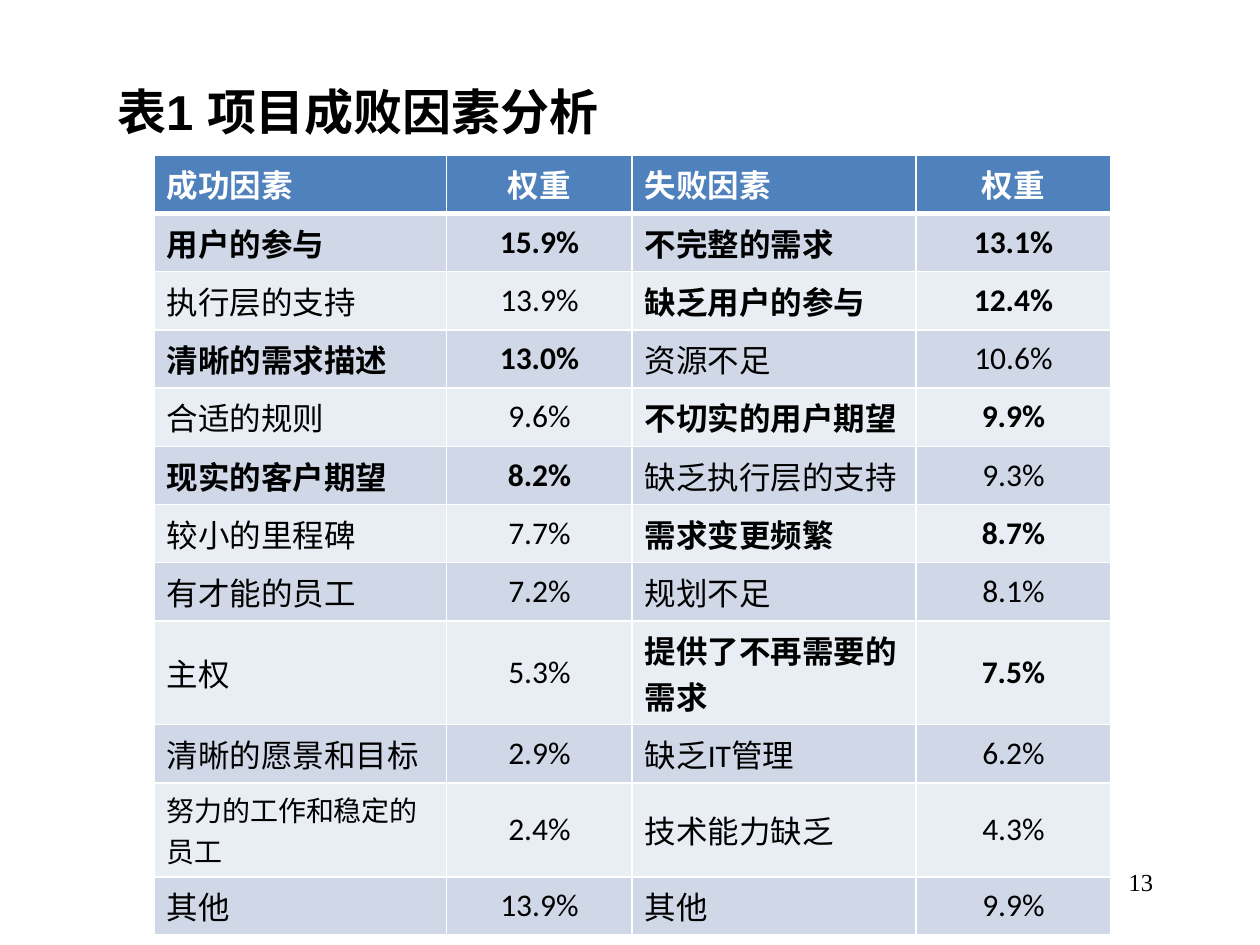
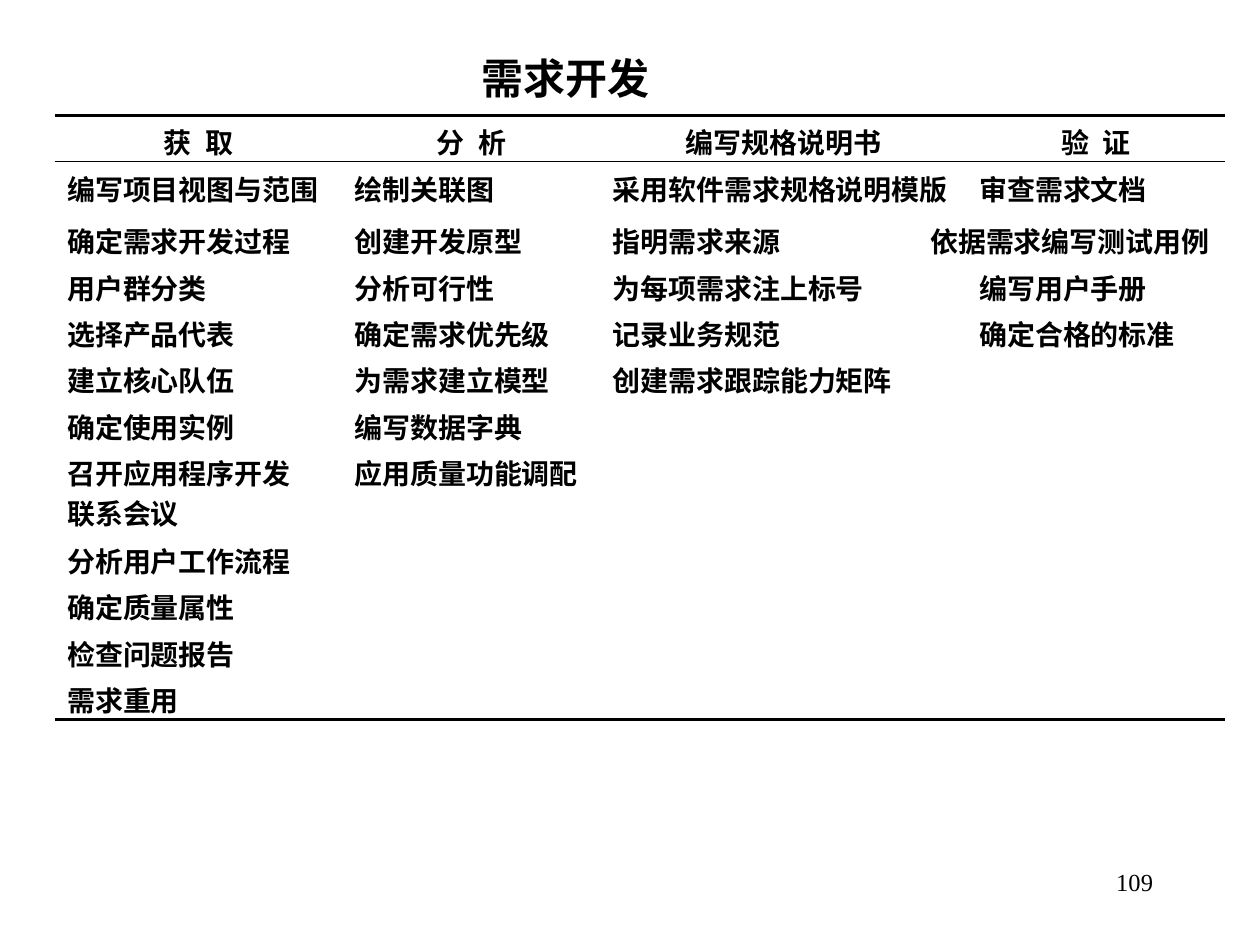
from lxml.etree import SubElement
from pptx import Presentation
from pptx.dml.color import RGBColor
from pptx.enum.text import MSO_ANCHOR as Anchor, PP_ALIGN as Align
from pptx.oxml import parse_xml
from pptx.oxml.ns import nsdecls, qn
from pptx.util import Pt

# Shared look
BLACK, WHITE = "000000", "FFFFFF"
HEADER_BLUE, BAND_DARK, BAND_LIGHT = "4F81BD", "D0D8E8", "E9EDF4"
SERIF, SANS, TITLE_SANS = "Times New Roman", "Calibri", "Arial"

# Factor, weight, and whether the factor is about requirements (bold)
SUCCESS_FACTORS = [
    ("用户的参与", "15.9%", True),
    ("执行层的支持", "13.9%", False),
    ("清晰的需求描述", "13.0%", True),
    ("合适的规则", "9.6%", False),
    ("现实的客户期望", "8.2%", True),
    ("较小的里程碑", "7.7%", False),
    ("有才能的员工", "7.2%", False),
    ("主权", "5.3%", False),
    ("清晰的愿景和目标", "2.9%", False),
    ("努力的工作和稳定的员工", "2.4%", False),
    ("其他", "13.9%", False),
]
FAILURE_FACTORS = [
    ("不完整的需求", "13.1%", True),
    ("缺乏用户的参与", "12.4%", True),
    ("资源不足", "10.6%", False),
    ("不切实的用户期望", "9.9%", True),
    ("缺乏执行层的支持", "9.3%", False),
    ("需求变更频繁", "8.7%", True),
    ("规划不足", "8.1%", False),
    ("提供了不再需要的需求", "7.5%", True),
    ("缺乏IT管理", "6.2%", False),
    ("技术能力缺乏", "4.3%", False),
    ("其他", "9.9%", False),
]
LONG_FACTOR = "努力的工作和稳定的员工"

# Activities of each phase of requirements development
PHASES = {
    "获\u2002取": ["编写项目视图与范围", "确定需求开发过程", "用户群分类", "选择产品代表",
                 "建立核心队伍", "确定使用实例", "召开应用程序开发\n联系会议",
                 "分析用户工作流程", "确定质量属性", "检查问题报告", "需求重用"],
    "分\u2002析": ["绘制关联图", "创建开发原型", "分析可行性", "确定需求优先级",
                 "为需求建立模型", "编写数据字典", "应用质量功能调配"],
    "编写规格说明书": ["采用软件需求规格说明模版", "指明需求来源", "为每项需求注上标号",
                "记录业务规范", "创建需求跟踪能力矩阵"],
    "验\u2002证": ["审查需求文档", "依据需求编写测试用例", "编写用户手册", "确定合格的标准"],
}
TEST_CASE_ROW = 2  # its long last entry also takes the narrow column


def rgb(hex_colour):
    return RGBColor.from_string(hex_colour)


def write(frame, text, size, font, colour=BLACK, bold=False, align=Align.LEFT):
    frame.text = text
    for paragraph in frame.paragraphs:
        paragraph.alignment = align
        for run in paragraph.runs:
            run.font.size, run.font.name, run.font.bold = Pt(size), font, bold
            run.font.color.rgb = rgb(colour)


def add_text(slide, box, text, size, font, anchor=Anchor.TOP, **style):
    frame = slide.shapes.add_textbox(*map(Pt, box)).text_frame
    frame.word_wrap = True
    frame.vertical_anchor = anchor
    write(frame, text, size, font, **style)
    return frame


def add_page_number(slide, number):
    add_text(slide, (516, 492, 150, 36), number, 14, SERIF, align=Align.RIGHT)


def add_grid(slide, left, top, widths, heights):
    table = slide.shapes.add_table(len(heights), len(widths), Pt(left), Pt(top),
                                   Pt(sum(widths)), Pt(sum(heights))).table
    table.first_row = table.horz_banding = False
    for column, width in zip(table.columns, widths):
        column.width = Pt(width)
    for row, height in zip(table.rows, heights):
        row.height = Pt(height)
    return table


def set_borders(cell, colour, **widths):
    """Draw the sides given as L, R, T, B in points; clear the others."""
    properties = cell._tc.get_or_add_tcPr()
    for place, side in enumerate("LRTB"):
        line = parse_xml(f"<a:ln{side} {nsdecls('a')}/>")
        if widths.get(side):
            line.set("w", str(Pt(widths[side])))
            fill = SubElement(line, qn("a:solidFill"))
            SubElement(fill, qn("a:srgbClr")).set("val", colour)
        else:
            SubElement(line, qn("a:noFill"))
        properties.insert(place, line)


def build_factors(slide):
    title = add_text(slide, (54, 43, 641, 45), "表1 项目成败因素分析", 28,
                     TITLE_SANS, bold=True)
    title.margin_left = Pt(13)

    # Header row and paired factor rows, as (text, bold)
    rows = [[(text, True) for text in ("成功因素", "权重", "失败因素", "权重")]]
    for pair in zip(SUCCESS_FACTORS, FAILURE_FACTORS):
        rows.append([(text, bold) for factor, weight, bold in pair
                     for text in (factor, weight)])

    # Two rows hold factors that take two lines
    heights = [33.3] * 8 + [59.3, 33.3, 53.7, 33.3]
    table = add_grid(slide, 88, 88.6, [167.3, 106, 162.3, 111.2], heights)
    for r, row in enumerate(rows):
        band = HEADER_BLUE if r == 0 else BAND_DARK if r % 2 else BAND_LIGHT
        for c, (text, bold) in enumerate(row):
            cell = table.cell(r, c)
            cell.vertical_anchor = Anchor.MIDDLE
            cell.fill.solid()
            cell.fill.fore_color.rgb = rgb(band)
            write(cell.text_frame, text, 16 if text == LONG_FACTOR else 18, SANS,
                  colour=BLACK if r else WHITE, bold=bold,
                  align=Align.CENTER if c % 2 else Align.LEFT)
            set_borders(cell, WHITE, L=1, R=1, T=3 if r == 1 else 1,
                        B=1 if r else 3)
    add_page_number(slide, "13")


def build_phases(slide):
    add_text(slide, (229.6, 26.3, 187, 36), "需求开发", 24, SERIF, Anchor.MIDDLE,
             bold=True, align=Align.CENTER)

    heights = [26.5, 30.2] + [26.5] * 5 + [50.2] + [26.5] * 4
    table = add_grid(slide, 31.2, 65.8, [164.2, 147.6, 181.4, 28.1, 147.6], heights)
    last = len(heights) - 1

    # Plain cells with rules above, below the header and at the end
    for r in range(len(heights)):
        for c in range(len(table.columns)):
            cell = table.cell(r, c)
            cell.margin_top, cell.margin_bottom = Pt(3.6), 0
            cell.fill.background()
            set_borders(cell, BLACK, T={0: 2, 1: 0.75}.get(r),
                        B={0: 0.75, last: 2}.get(r))
        start = 3 if r == TEST_CASE_ROW else 2
        table.cell(r, start).merge(table.cell(r, start + 1))

    # Phase headings and their activities
    for c, (phase, activities) in zip((0, 1, 2, 4), PHASES.items()):
        for r, text in enumerate([phase] + activities):
            column = 3 if c == 4 and r == TEST_CASE_ROW else c
            write(table.cell(r, column).text_frame, text, 16, SERIF, bold=True,
                  align=Align.LEFT if r else Align.CENTER)
    add_page_number(slide, "109")


def main():
    deck = Presentation()
    deck.slide_width, deck.slide_height = Pt(720), Pt(540)
    blank = deck.slide_layouts[6]
    for build in (build_factors, build_phases):
        build(deck.slides.add_slide(blank))
    deck.save("out.pptx")


main()
